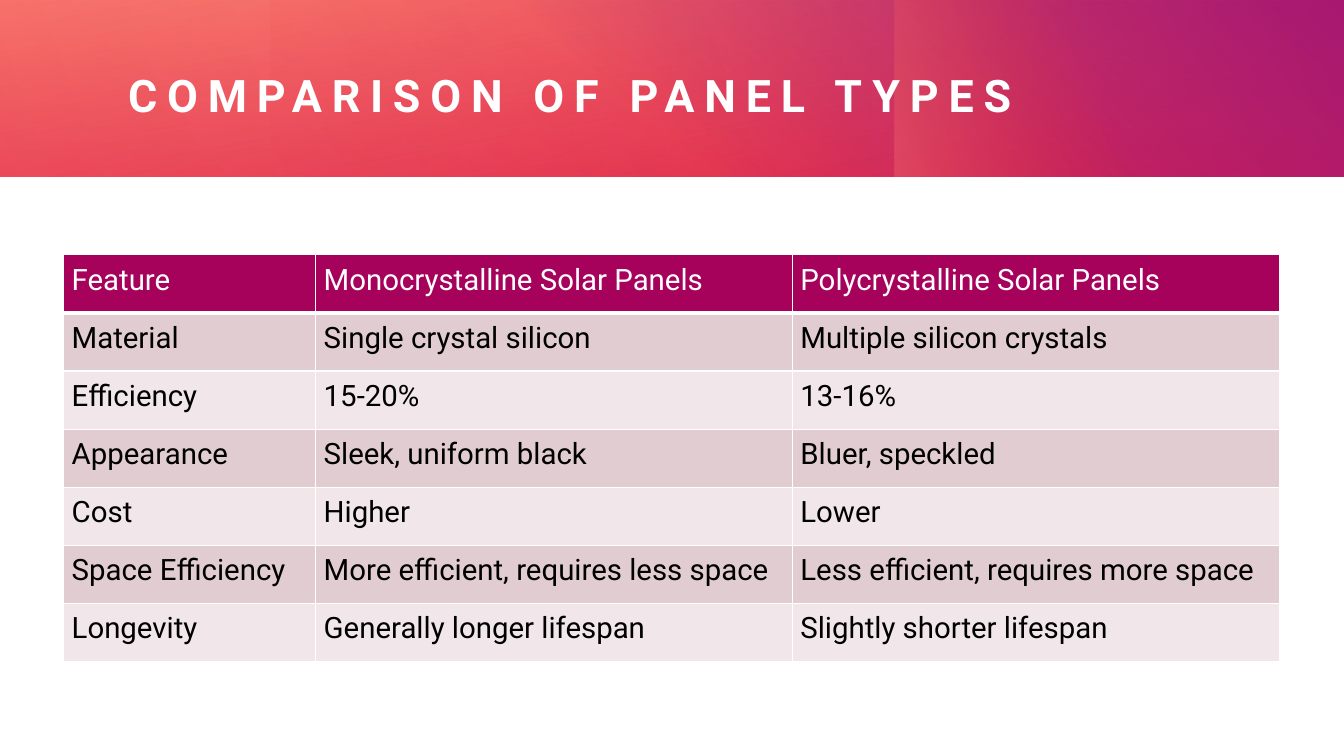
import pptx
import pptx.dml.color
import pptx.enum.shapes
import pptx.enum.text
import pptx.oxml
import pptx.oxml.ns
import pptx.util

Pt = pptx.util.Pt

COLORS = {
    "white": "FFFFFF",
    "black": "000000",
    "red": "DA002F",
    "salmon": "FF907A",
    "orange": "FE4A00",
    "purple": "92248E",
    "header": "A6025C",
    "odd_row": "E1CCD2",
    "even_row": "F1E7EA",
}
FONT = "Roboto"

BAND_LAYERS = [
    ((0, 0, 960, 126), 0, 260, (0, "red", 83), (100, "salmon", 100)),
    ((346.5, 0.5, 613.5, 125.5), 0, 310, (22, "purple", 0), (99, "purple", 100)),
    ((710.5, -71.5, 126, 269.5), 270, 250, (45, "orange", 0), (99, "salmon", 33)),
    ((193, 0, 766.5, 126), 180, 330, (0, "red", 30), (99, "red", 0)),
    ((0, 0, 623, 126), 0, 340, (0, "red", 21), (99, "red", 0)),
]

COLUMN_WIDTHS = [180, 340.5, 348]
PANEL_ROWS = [
    ("Feature", "Monocrystalline Solar Panels", "Polycrystalline Solar Panels"),
    ("Material", "Single crystal silicon", "Multiple silicon crystals"),
    ("Efficiency", "15-20%", "13-16%"),
    ("Appearance", "Sleek, uniform black", "Bluer, speckled"),
    ("Cost", "Higher", "Lower"),
    ("Space Efficiency", "More efficient, requires less space", "Less efficient, requires more space"),
    ("Longevity", "Generally longer lifespan", "Slightly shorter lifespan"),
]


def rgb(name):
    return pptx.dml.color.RGBColor.from_string(COLORS[name])


def write_text(text_frame, text, size, color, bold=False, spacing=0):
    run = text_frame.paragraphs[0].add_run()
    run.text = text
    run.font.name = FONT
    run.font.size = Pt(size)
    run.font.bold = bold
    run.font.color.rgb = rgb(color)
    if spacing:
        run.font._element.set("spc", str(spacing * 100))


def add_gradient(slide, box, rotation, angle, stops):
    shape = slide.shapes.add_shape(
        pptx.enum.shapes.MSO_SHAPE.RECTANGLE, *[Pt(length) for length in box])
    shape.shadow.inherit = False
    shape.rotation = rotation
    shape.line.fill.background()
    shape.fill.gradient()
    shape.fill.gradient_angle = 360 - angle
    for gradient_stop, (position, color, opacity) in zip(shape.fill.gradient_stops, stops):
        gradient_stop.position = position / 100
        gradient_stop.color.rgb = rgb(color)
    color_elements = shape.element.spPr.iter(pptx.oxml.ns.qn("a:srgbClr"))
    for element, (position, color, opacity) in zip(color_elements, stops):
        if opacity < 100:
            element.append(pptx.oxml.parse_xml(
                f'<a:alpha {pptx.oxml.ns.nsdecls("a")} val="{opacity * 1000}"/>'))


def add_title_band(slide, left, top):
    for (x, y, width, height), rotation, angle, *stops in BAND_LAYERS:
        add_gradient(slide, (left + x, top + y, width, height), rotation, angle, stops)
    title = slide.shapes.add_textbox(Pt(left + 91.5), Pt(top + 29.5), Pt(817), Pt(76.5))
    text_frame = title.text_frame
    text_frame.word_wrap = True
    text_frame.vertical_anchor = pptx.enum.text.MSO_ANCHOR.MIDDLE
    text_frame.margin_left = text_frame.margin_right = 0
    text_frame.margin_top = text_frame.margin_bottom = 0
    write_text(text_frame, "COMPARISON OF PANEL TYPES", size=32, color="white",
               bold=True, spacing=7)


def set_borders(cell, bottom_width):
    properties = cell._tc.get_or_add_tcPr()
    for side, width in (("L", 1), ("R", 1), ("T", 1), ("B", bottom_width)):
        properties.append(pptx.oxml.parse_xml(
            f'<a:ln{side} {pptx.oxml.ns.nsdecls("a")} w="{Pt(width)}"><a:solidFill>'
            f'<a:srgbClr val="{COLORS["white"]}"/></a:solidFill></a:ln{side}>'))


def add_panel_table(slide, left, top, row_height):
    frame = slide.shapes.add_table(
        len(PANEL_ROWS), len(COLUMN_WIDTHS), Pt(left), Pt(top),
        Pt(sum(COLUMN_WIDTHS)), Pt(row_height * len(PANEL_ROWS)))
    table = frame.table
    for column, width in zip(table.columns, COLUMN_WIDTHS):
        column.width = Pt(width)
    for row_index, texts in enumerate(PANEL_ROWS):
        table.rows[row_index].height = Pt(row_height)
        is_header = row_index == 0
        fill = "header" if is_header else "odd_row" if row_index % 2 else "even_row"
        for column_index, text in enumerate(texts):
            cell = table.cell(row_index, column_index)
            cell.margin_left = cell.margin_right = Pt(5.75)
            cell.margin_top = cell.margin_bottom = Pt(5.75)
            set_borders(cell, bottom_width=3 if is_header else 1)
            cell.fill.solid()
            cell.fill.fore_color.rgb = rgb(fill)
            write_text(cell.text_frame, text, size=21,
                       color="white" if is_header else "black")


def main():
    presentation = pptx.Presentation()
    presentation.slide_width = Pt(960)
    presentation.slide_height = Pt(540)
    slide = presentation.slides.add_slide(presentation.slide_layouts[6])
    add_title_band(slide, left=0, top=0)
    add_panel_table(slide, left=45.5, top=182, row_height=41.5)
    presentation.save("out.pptx")


if __name__ == "__main__":
    main()
